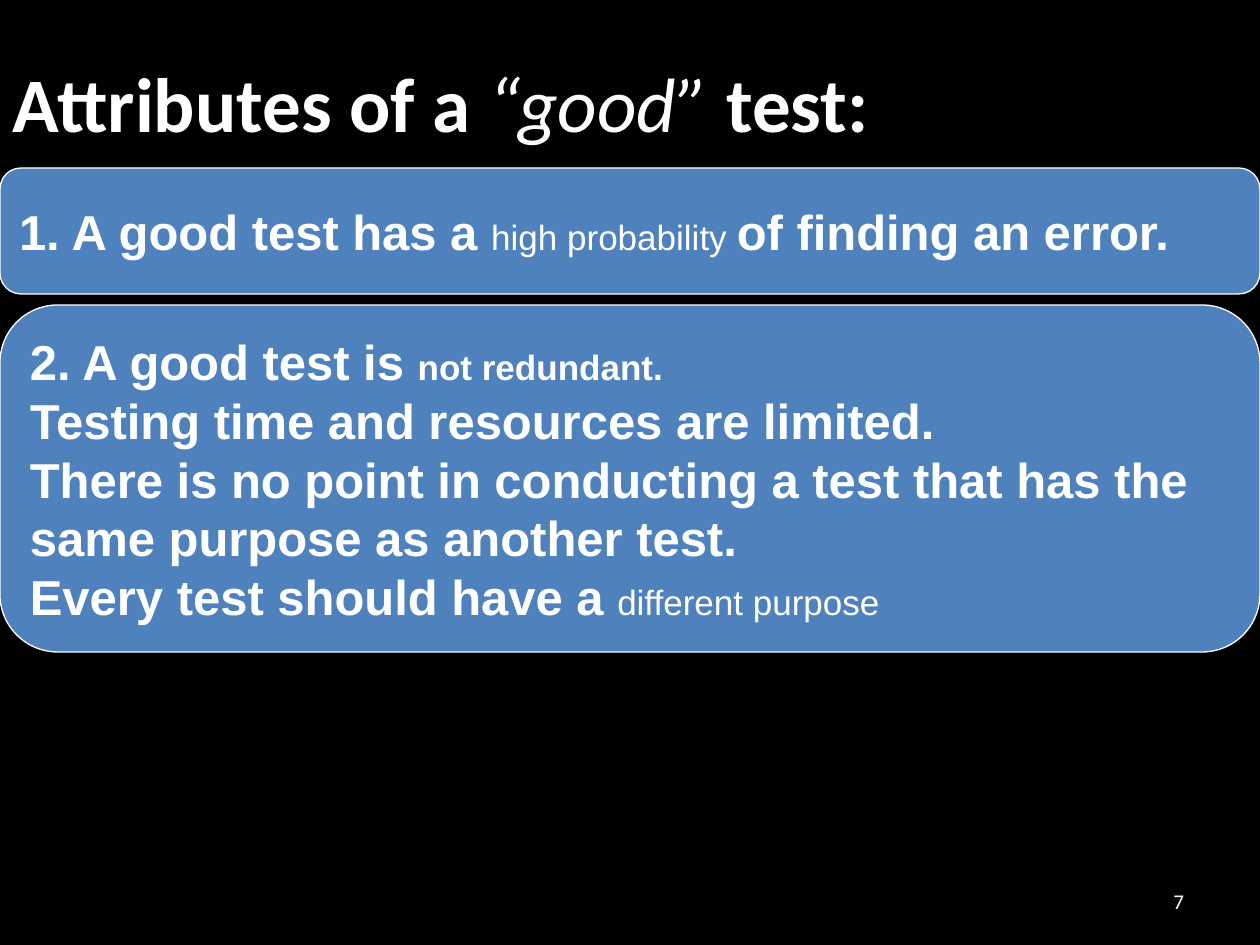
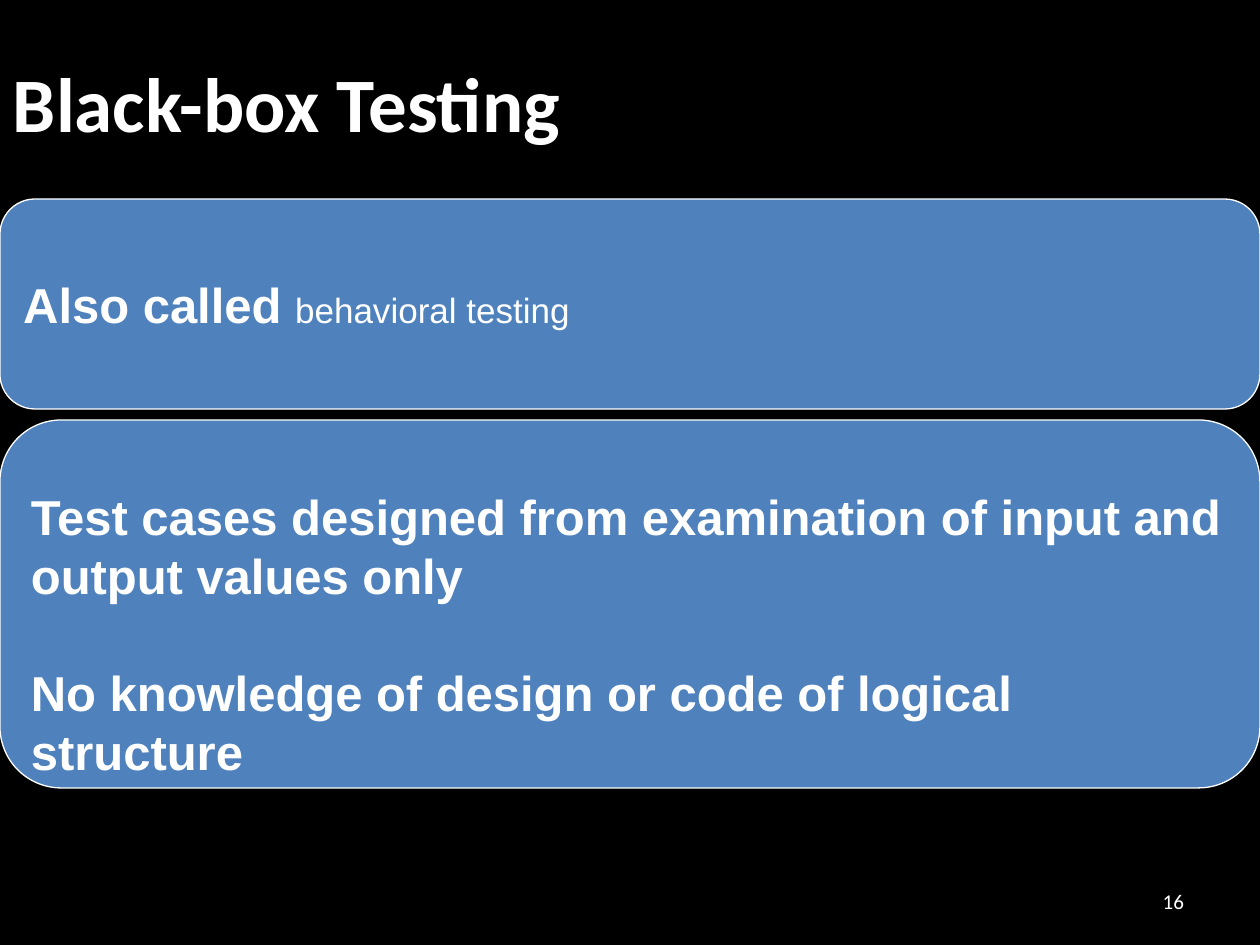
from pptx import Presentation
from pptx.dml.color import RGBColor
from pptx.enum.shapes import MSO_SHAPE
from pptx.enum.text import MSO_ANCHOR, MSO_AUTO_SIZE, PP_ALIGN
from pptx.util import Emu, Pt

ROUND = MSO_SHAPE.ROUNDED_RECTANGLE
MID = MSO_ANCHOR.MIDDLE
FIXED = MSO_AUTO_SIZE.NONE
LEFT, RIGHT = PP_ALIGN.LEFT, PP_ALIGN.RIGHT

BLACK = RGBColor(0x00, 0x00, 0x00)
WHITE = RGBColor(0xFF, 0xFF, 0xFF)
BLUE = RGBColor(0x4F, 0x81, 0xBD)

WIDE, HIGH, GAP = 1260, 945, 11
HEAD = (0, 0, 1071, 203)
FOOT = (903, 876, 294, 50)
PAD_X, PAD_Y = 13, 6

BOLD = {"size": Pt(28), "bold": True}
SMALL = {"size": Pt(20), "bold": False}
STRONG = {"size": Pt(20), "bold": True}
TITLE = {"size": Pt(44), "bold": True}
QUOTE = {"size": Pt(44), "bold": False, "italic": True}
NUMBER = {"size": Pt(12)}

SLIDES = [
    {
        "title": [("Attributes of a ", TITLE), ("“good”", QUOTE), (" test:", TITLE)],
        "number": "7",
        "top": 168,
        "boxes": [
            {"high": 126, "lines": [
                [("1. A good test has a ", BOLD), ("high probability ", SMALL),
                 ("of finding an error.", BOLD)],
            ]},
            {"high": 347, "lines": [
                [("2. A good test is ", BOLD), ("not redundant.", STRONG)],
                [("Testing time and resources are limited.", BOLD)],
                [("There is no point in conducting a test that has the same "
                  "purpose as another test.", BOLD)],
                [("Every test should have a ", BOLD), ("different purpose", SMALL)],
            ]},
        ],
    },
    {
        "title": [("Black-box Testing", TITLE)],
        "number": "16",
        "top": 199,
        "boxes": [
            {"high": 210, "lines": [
                [("Also called ", BOLD), ("behavioral testing", SMALL)],
            ]},
            {"high": 368, "inset": 65, "space": 33.5, "lines": [
                [("Test cases designed from examination of input and output "
                  "values only", BOLD)],
                [("No knowledge of design or code of logical structure", BOLD)],
            ]},
        ],
    },
]


def px(n):
    return Emu(round(n * 914400 / 126))


def style(font, look):
    for key, value in look.items():
        setattr(font, key, value)


def write(shape, lines, face, align=LEFT, inset=PAD_Y, space=0):
    frame = shape.text_frame
    frame.word_wrap = True
    frame.auto_size = FIXED
    frame.vertical_anchor = MID
    frame.margin_left = frame.margin_right = px(PAD_X)
    frame.margin_top, frame.margin_bottom = px(inset), px(PAD_Y)
    for i, parts in enumerate(lines):
        para = frame.add_paragraph() if i else frame.paragraphs[0]
        para.alignment = align
        para.space_before = Pt(space if i else 0)
        para.font.name = face
        para.font.color.rgb = WHITE
        if len(parts) == 1:
            style(para.font, parts[0][1])
        for text, look in parts:
            run = para.add_run()
            run.text = text
            if len(parts) > 1:
                style(run.font, look)


def add_box(slide, top, box):
    shape = slide.shapes.add_shape(ROUND, 0, px(top), px(WIDE), px(box["high"]))
    shape.shadow.inherit = False
    shape.fill.solid()
    shape.fill.fore_color.rgb = BLUE
    shape.line.color.rgb = WHITE
    shape.line.width = Pt(0.75)
    write(shape, box["lines"], "Arial",
          inset=box.get("inset", PAD_Y), space=box.get("space", 0))


def add_slide(deck, data):
    slide = deck.slides.add_slide(deck.slide_layouts[5])
    title = slide.shapes.title
    title.left, title.top, title.width, title.height = map(px, HEAD)
    write(title, [data["title"]], "Calibri")
    foot = slide.shapes.add_textbox(*map(px, FOOT))
    write(foot, [[(data["number"], NUMBER)]], "Calibri", RIGHT)
    top = data["top"]
    for box in data["boxes"]:
        add_box(slide, top, box)
        top += box["high"] + GAP


def main():
    deck = Presentation()
    deck.slide_width, deck.slide_height = px(WIDE), px(HIGH)
    fill = deck.slide_master.background.fill
    fill.solid()
    fill.fore_color.rgb = BLACK
    for data in SLIDES:
        add_slide(deck, data)
    deck.save("out.pptx")


if __name__ == "__main__":
    main()
